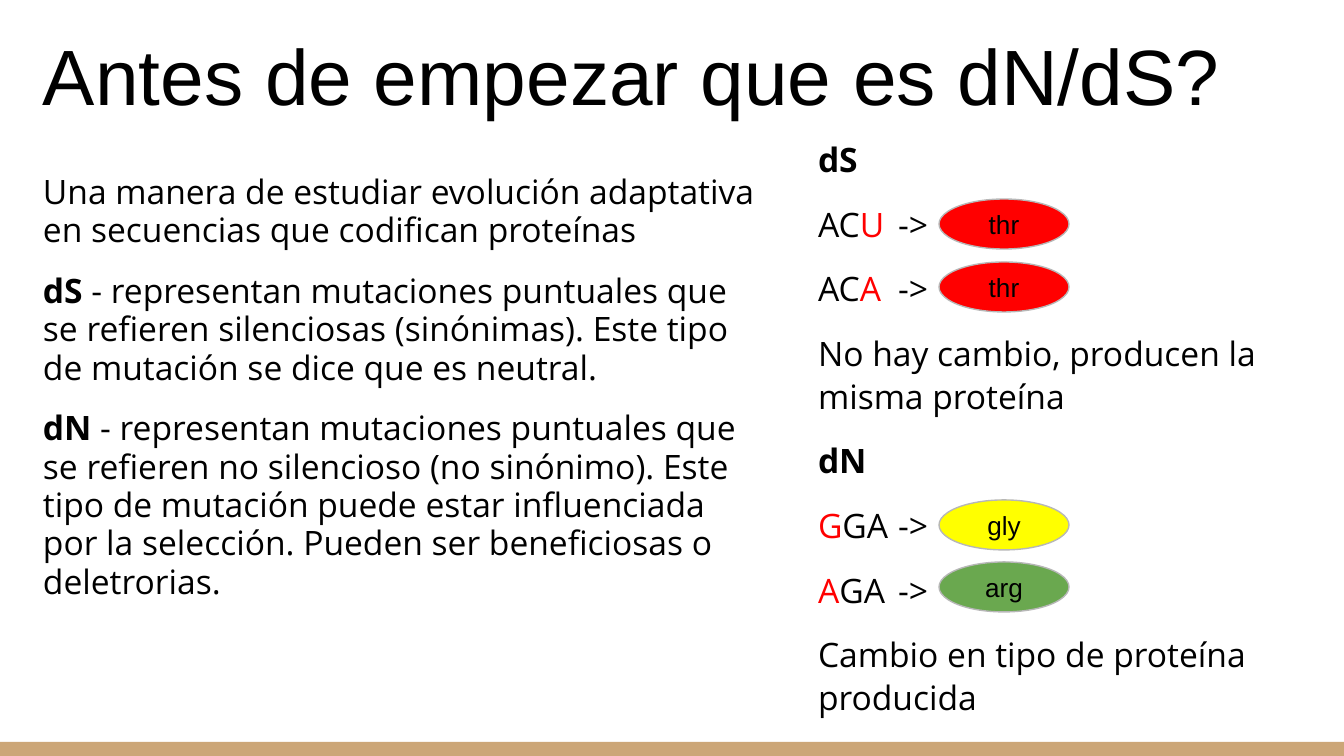
from lxml import etree
from pptx import Presentation, util as u
from pptx.dml.color import RGBColor
from pptx.enum import shapes, text
from pptx.oxml.ns import qn

WIDTH, HEIGHT = 1344, 756
SCALE = u.Inches(10) / WIDTH
INSET = 13
ARROW_TAB = 80
BLACK, RED, TAN, GREY = "000000", "FF0000", "CCA677", "B7B7B7"
YELLOW, GREEN = "FFFF00", "6AA84F"

BOLD = {"bold": True}
MARKED = {"color": RED}

DEFINITIONS = [
    [("Una manera de estudiar evolución adaptativa en secuencias que codifican proteínas", {})],
    [("dS", BOLD),
     (" - representan mutaciones puntuales que se refieren silenciosas (sinónimas). "
      "Este tipo de mutación se dice que es neutral.", {})],
    [("dN", BOLD),
     (" - representan mutaciones puntuales que se refieren no silencioso (no sinónimo). "
      "Este tipo de mutación puede estar influenciada por la selección. "
      "Pueden ser beneficiosas o deletrorias.", {})],
]
EXAMPLES = [
    [("dS", BOLD)],
    [("AC", {}), ("U", MARKED), ("\t->", {})],
    [("AC", {}), ("A", MARKED), ("\t->", {})],
    [("No hay cambio, producen la misma proteína", {})],
    [("dN", BOLD)],
    [("G", MARKED), ("GA\t->", {})],
    [("A", MARKED), ("GA\t->", {})],
    [("Cambio en tipo de proteína producida", {})],
]
AMINO_ACIDS = [("thr", 199, RED), ("thr", 262, RED), ("gly", 500, YELLOW), ("arg", 562, GREEN)]


def px(value):
    return round(value * SCALE)


def rgb(value):
    return RGBColor.from_string(value)


def set_attributes(target, values):
    for name, value in values.items():
        setattr(target, name, value)


def set_frame(frame, anchor):
    set_attributes(frame, {
        "word_wrap": True, "vertical_anchor": anchor,
        "margin_left": px(INSET), "margin_right": px(INSET),
        "margin_top": px(INSET), "margin_bottom": px(INSET),
    })


def add_run(paragraph, wording, size, font="Open Sans", color=BLACK, bold=False):
    run = paragraph.add_run()
    run.text = wording
    set_attributes(run.font, {"name": font, "size": u.Pt(size), "bold": bold})
    run.font.color.rgb = rgb(color)


def add_tab_stop(paragraph, position):
    tabs = etree.SubElement(paragraph._p.get_or_add_pPr(), qn("a:tabLst"))
    etree.SubElement(tabs, qn("a:tab"), pos=str(px(position)), algn="l")


def add_text(slide, box, anchor=text.MSO_ANCHOR.TOP):
    frame = slide.shapes.add_textbox(*map(px, box)).text_frame
    set_frame(frame, anchor)
    return frame


def add_paragraphs(slide, box, paragraphs, line_spacing):
    frame = add_text(slide, box)
    for index, runs in enumerate(paragraphs):
        paragraph = frame.add_paragraph() if index else frame.paragraphs[0]
        paragraph.line_spacing = line_spacing
        if index:
            paragraph.space_before = u.Pt(12)
        if any("\t" in wording for wording, _ in runs):
            add_tab_stop(paragraph, ARROW_TAB)
        for wording, style in runs:
            add_run(paragraph, wording, 18, **style)


def add_filled_shape(slide, kind, box, fill):
    shape = slide.shapes.add_shape(kind, *map(px, box))
    shape.shadow.inherit = False
    shape.fill.solid()
    shape.fill.fore_color.rgb = rgb(fill)
    shape.line.fill.background()
    return shape


def add_amino_acid(slide, name, top, fill):
    shape = add_filled_shape(slide, shapes.MSO_SHAPE.OVAL, (939, top, 130, 50), fill)
    shape.line.color.rgb = rgb(GREY)
    shape.line.width = u.Pt(0.75)
    set_frame(shape.text_frame, text.MSO_ANCHOR.MIDDLE)
    paragraph = shape.text_frame.paragraphs[0]
    paragraph.alignment = text.PP_ALIGN.CENTER
    add_run(paragraph, name, 14, "Arial")


def main():
    presentation = Presentation()
    set_attributes(presentation, {"slide_width": px(WIDTH), "slide_height": px(HEIGHT)})
    slide = presentation.slides.add_slide(presentation.slide_layouts[6])

    # Bottom band and title
    add_filled_shape(slide, shapes.MSO_SHAPE.RECTANGLE, (0, 742, WIDTH, 14), TAN)
    title = add_text(slide, (30, 12, 1253, 122), text.MSO_ANCHOR.BOTTOM)
    add_run(title.paragraphs[0], "Antes de empezar que es dN/dS?", 42, "Arial")

    # Definitions on the left, codon examples on the right
    add_paragraphs(slide, (30, 161, 739, 499), DEFINITIONS, 0.95)
    add_paragraphs(slide, (805, 124, 477, 616), EXAMPLES, 1.05)

    # Amino acid that each codon produces
    for name, top, fill in AMINO_ACIDS:
        add_amino_acid(slide, name, top, fill)

    presentation.save("out.pptx")


if __name__ == "__main__":
    main()
